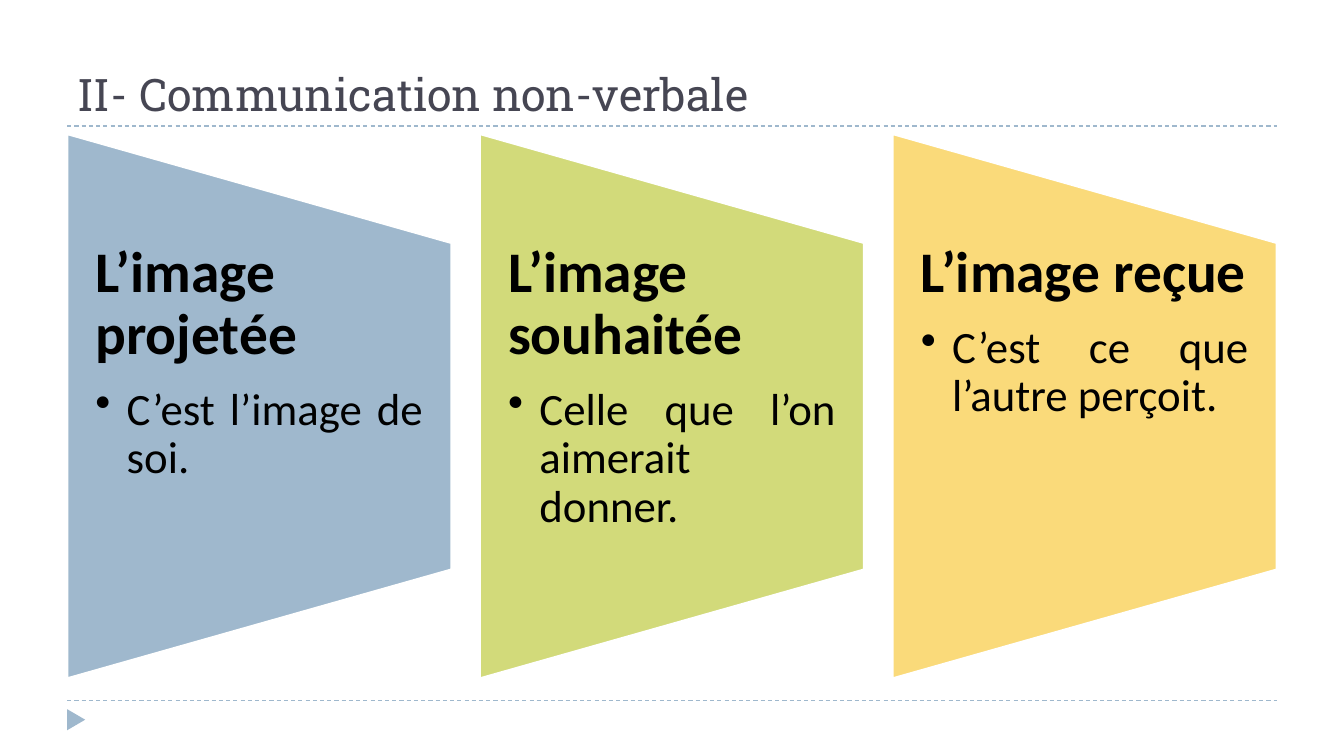
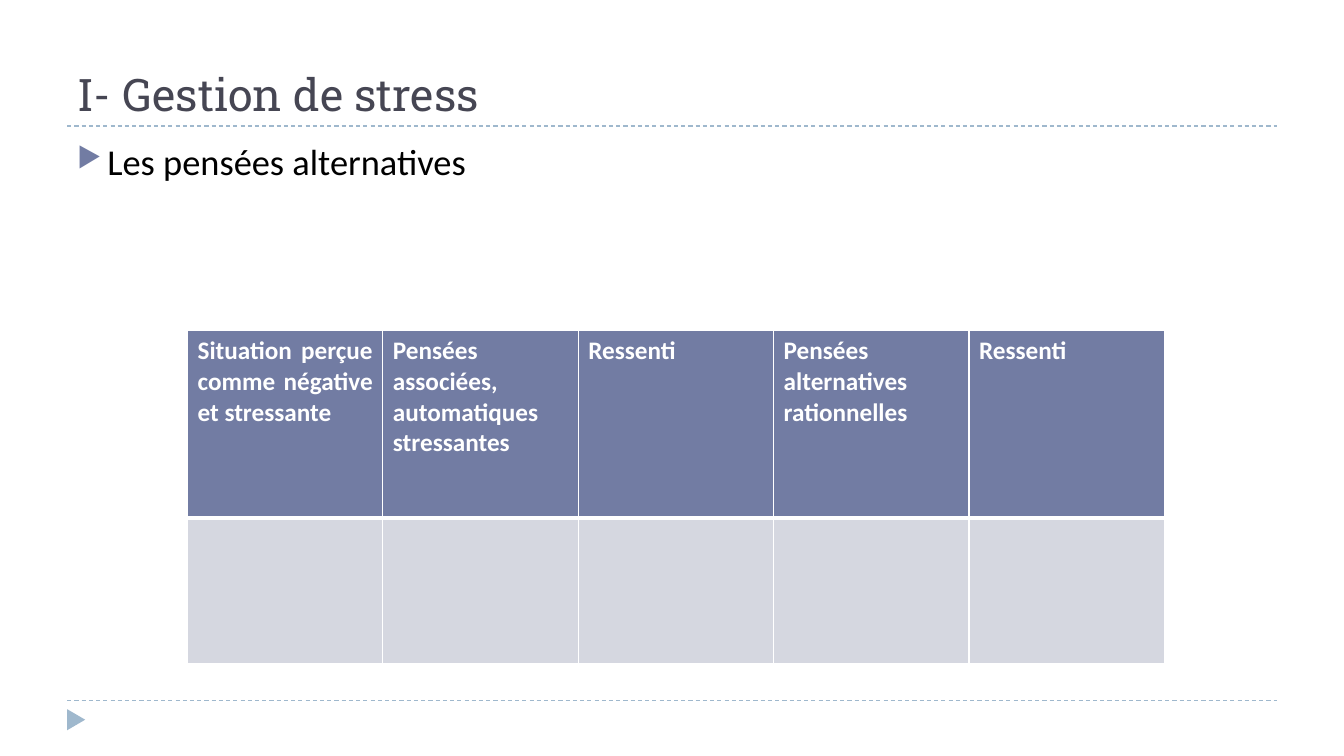
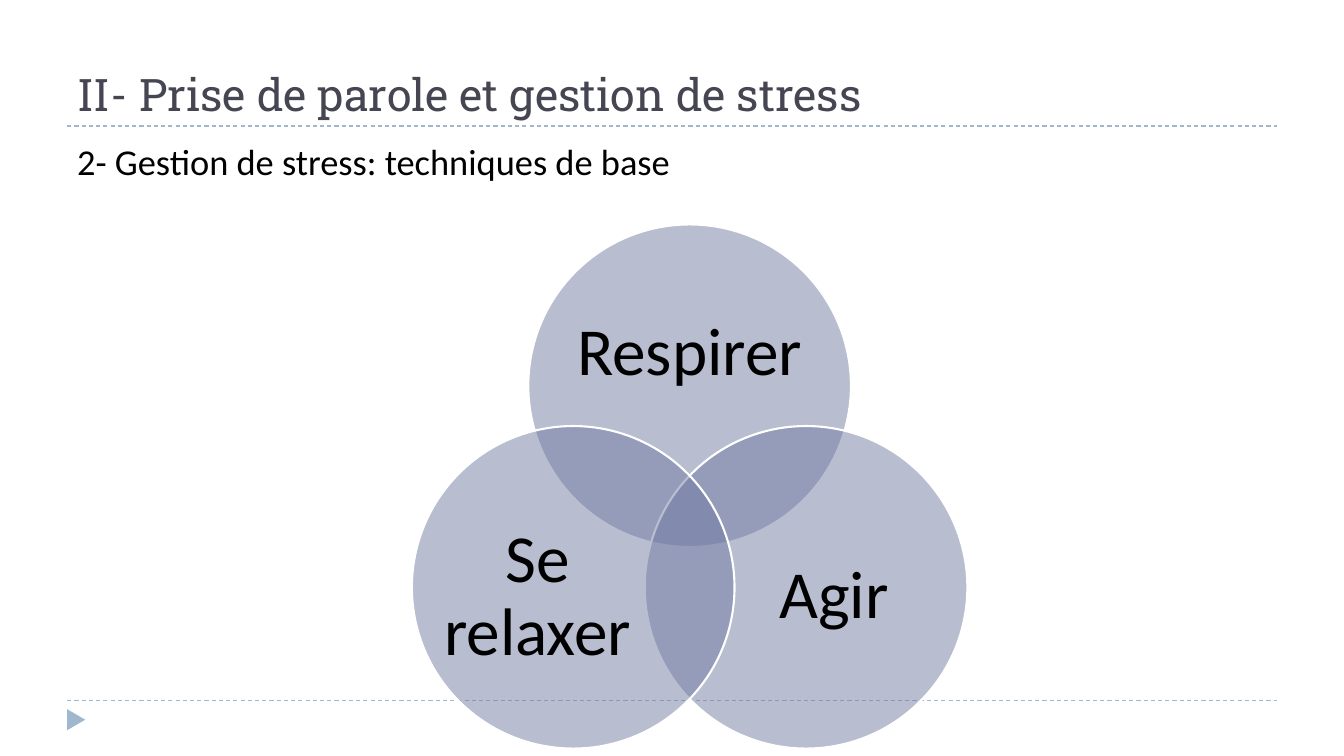
from dataclasses import dataclass
from math import cos, radians, sin

from lxml.etree import SubElement
from pptx import Presentation
from pptx.dml.color import RGBColor
from pptx.enum.dml import MSO_LINE
from pptx.enum.shapes import MSO_CONNECTOR, MSO_SHAPE
from pptx.enum.text import MSO_ANCHOR as Anchor
from pptx.enum.text import MSO_AUTO_SIZE as AutoSize
from pptx.enum.text import PP_ALIGN as Align
from pptx.oxml.ns import qn
from pptx.util import Inches, Pt

# Shared look: lengths are in inches, margins are shares of the slide
WIDTH, HEIGHT = 13.33, 7.5
MARGIN = WIDTH * 0.05
CONTENT_WIDTH = WIDTH * 0.9
BODY_TOP, BODY_HEIGHT = 1.33, HEIGHT * 0.72
TITLE_RULE, FOOTER_RULE = 1.25, 6.95

WHITE, BLACK, SLATE = "FFFFFF", "000000", "464653"
SKY, LIME, SAND = "9FB8CD", "D2DA7A", "FADA7A"
INDIGO, MIST = "727CA3", "D5D7E0"
TEXT_FONT, TITLE_FONT = "Calibri", "Roboto Slab"


@dataclass
class Area:
    left: float
    top: float
    width: float
    height: float

    def lengths(self) -> list:
        return [Inches(v) for v in (self.left, self.top, self.width, self.height)]


@dataclass
class Bullet:
    char: str
    indent: float
    hex_color: str = BLACK
    percent: int = 100


@dataclass
class Panel:
    heading: str
    detail: str
    hex_color: str


@dataclass
class Circle:
    """Label offset and size are shares of the circle's diameter."""
    label: str
    angle: int
    offset: tuple[float, float]
    size: tuple[float, float]


def color(hex_color: str) -> RGBColor:
    return RGBColor.from_string(hex_color)


def centred(x: float, y: float, width: float, height: float) -> Area:
    return Area(x - width / 2, y - height / 2, width, height)


# Text
def add_bullet(para, bullet: Bullet) -> None:
    props = para._p.get_or_add_pPr()
    props.set("marL", str(Inches(bullet.indent)))
    props.set("indent", str(-Inches(bullet.indent)))
    tint = SubElement(props, qn("a:buClr"))
    SubElement(tint, qn("a:srgbClr"), val=bullet.hex_color)
    SubElement(props, qn("a:buSzPct"), val=str(bullet.percent * 1000))
    SubElement(props, qn("a:buChar"), char=bullet.char)


def write(para, text: str, size: float, hex_color: str = BLACK, name: str = TEXT_FONT,
          bold: bool = False, bullet: Bullet | None = None, **layout) -> None:
    if bullet:
        add_bullet(para, bullet)
    for key, value in layout.items():
        setattr(para, key, value)
    span = para.add_run()
    span.text = text
    for key, value in {"name": name, "size": Pt(size), "bold": bold}.items():
        setattr(span.font, key, value)
    span.font.color.rgb = color(hex_color)


def add_box(page, area: Area, **frame_format):
    frame = page.shapes.add_textbox(*area.lengths()).text_frame
    for key, value in {"word_wrap": True, **frame_format}.items():
        setattr(frame, key, value)
    return frame


# Shapes
def add_solid(page, kind, area: Area, hex_color: str, rotation: int = 0,
              outlined: bool = True, opacity: int = 100) -> None:
    shape = page.shapes.add_shape(kind, *area.lengths())
    shape.shadow.inherit = False
    shape.rotation = rotation
    shape.fill.solid()
    shape.fill.fore_color.rgb = color(hex_color)
    if opacity < 100:
        tint = shape._element.spPr.find(qn("a:solidFill"))[0]
        SubElement(tint, qn("a:alpha"), val=str(opacity * 1000))
    if outlined:
        shape.line.color.rgb = color(WHITE)
        shape.line.width = Pt(1.5)
    else:
        shape.line.fill.background()


def add_rule(page, y: float) -> None:
    rule = page.shapes.add_connector(
        MSO_CONNECTOR.STRAIGHT, Inches(MARGIN), Inches(y),
        Inches(MARGIN + CONTENT_WIDTH), Inches(y))
    rule.line.color.rgb = color(SKY)
    rule.line.width = Pt(0.75)
    rule.line.dash_style = MSO_LINE.DASH
    SubElement(rule._element.spPr, qn("a:effectLst"))


def add_page(deck, title: str):
    """Title-only slide with the dashed rules and the footer marker."""
    page = deck.slides.add_slide(deck.slide_layouts[5])
    for y in (FOOTER_RULE, TITLE_RULE):
        add_rule(page, y)
    add_solid(page, MSO_SHAPE.ISOSCELES_TRIANGLE, Area(0.65, 7.05, 0.21, 0.18),
              SKY, rotation=90, outlined=False)
    box = page.shapes.title
    area = Area(MARGIN, 0.17, CONTENT_WIDTH, TITLE_RULE - 0.17)
    for key, value in zip(("left", "top", "width", "height"), area.lengths()):
        setattr(box, key, value)
    frame = box.text_frame
    frame.auto_size = AutoSize.NONE
    frame.vertical_anchor = Anchor.BOTTOM
    write(frame.paragraphs[0], title, 32, SLATE, TITLE_FONT, alignment=Align.LEFT)
    return page


def add_body(page, text: str, bullet: Bullet | None = None) -> None:
    frame = add_box(page, Area(MARGIN, BODY_TOP, CONTENT_WIDTH, BODY_HEIGHT))
    write(frame.paragraphs[0], text, 26, bullet=bullet)


# Slide 1: three trapezoid panels
def add_panels(page, panels: list[Panel]) -> None:
    width = 3.81
    pitch = (CONTENT_WIDTH - width) / (len(panels) - 1)
    middle = BODY_TOP + BODY_HEIGHT / 2
    for column, panel in enumerate(panels):
        left = MARGIN + column * pitch
        add_solid(page, MSO_SHAPE.FLOWCHART_MANUAL_OPERATION,
                  centred(left + width / 2, middle, BODY_HEIGHT, width),
                  panel.hex_color, rotation=270)
        frame = add_box(page, centred(left + width / 2, middle, width, BODY_HEIGHT * 0.6),
                        margin_left=Inches(0.28), margin_right=Inches(0.28),
                        margin_top=0, margin_bottom=0)
        write(frame.paragraphs[0], panel.heading, 41, bold=True,
              line_spacing=0.9, space_after=Pt(14))
        write(frame.add_paragraph(), panel.detail, 32, bullet=Bullet("•", 0.31),
              alignment=Align.JUSTIFY, line_spacing=0.9)


# Slide 2: table
def add_borders(cell, bottom: float) -> None:
    props = cell._tc.get_or_add_tcPr()
    sides = {"L": 1, "R": 1, "T": 1, "B": bottom}
    for place, (side, points) in enumerate(sides.items()):
        line = SubElement(props, qn(f"a:ln{side}"), w=str(Pt(points)))
        fill = SubElement(line, qn("a:solidFill"))
        SubElement(fill, qn("a:srgbClr"), val=WHITE)
        props.insert(place, line)


def add_thought_table(page, headings: list[str]) -> None:
    row_heights = (1.86, 1.44)
    area = Area(1.86, 3.28, 9.69, sum(row_heights))
    table = page.shapes.add_table(len(row_heights), len(headings), *area.lengths()).table
    for row, height in zip(table.rows, row_heights):
        row.height = Inches(height)
    for column, heading in enumerate(headings):
        write(table.cell(0, column).text_frame.paragraphs[0], heading, 18, WHITE, bold=True,
              alignment=Align.LEFT if column else Align.JUSTIFY)
        for row, (hex_color, bottom) in enumerate(((INDIGO, 3), (MIST, 1))):
            cell = table.cell(row, column)
            cell.fill.solid()
            cell.fill.fore_color.rgb = color(hex_color)
            add_borders(cell, bottom)


# Slide 3: overlapping circles around a common centre
def add_venn(page, circles: list[Circle]) -> None:
    centre_x, centre_y, diameter = 6.84, 5.16, 3.2
    orbit = diameter * 5 / 12
    for circle in circles:
        x = centre_x + orbit * cos(radians(circle.angle))
        y = centre_y + orbit * sin(radians(circle.angle))
        add_solid(page, MSO_SHAPE.OVAL, centred(x, y, diameter, diameter),
                  INDIGO, opacity=50)
        shift_x, shift_y = (share * diameter for share in circle.offset)
        width, height = (share * diameter for share in circle.size)
        frame = add_box(page, centred(x + shift_x, y + shift_y, width, height),
                        vertical_anchor=Anchor.MIDDLE, margin_left=0, margin_right=0,
                        margin_top=0, margin_bottom=0)
        write(frame.paragraphs[0], circle.label, 48,
              alignment=Align.CENTER, line_spacing=0.9)


def main() -> None:
    deck = Presentation()
    deck.slide_width, deck.slide_height = Inches(WIDTH), Inches(HEIGHT)

    page = add_page(deck, "II- Communication non-verbale")
    add_panels(page, [
        Panel("L’image projetée", "C’est l’image de soi.", SKY),
        Panel("L’image souhaitée", "Celle que l’on aimerait donner.", LIME),
        Panel("L’image reçue", "C’est ce que l’autre perçoit.", SAND),
    ])

    page = add_page(deck, "I- Gestion de stress")
    add_body(page, "Les pensées alternatives", Bullet("▶", 0.3, INDIGO, 76))
    add_thought_table(page, [
        "Situation perçue comme négative et stressante",
        "Pensées associées, automatiques stressantes",
        "Ressenti",
        "Pensées alternatives rationnelles",
        "Ressenti",
    ])

    page = add_page(deck, "II- Prise de parole et gestion de stress")
    add_body(page, "2- Gestion de stress: techniques de base")
    add_venn(page, [
        Circle("Respirer ", -90, (0, -0.1), (0.73, 0.45)),
        Circle("Agir ", 30, (0.11, 0.03), (0.6, 0.55)),
        Circle("Se relaxer ", 150, (-0.11, 0.03), (0.6, 0.55)),
    ])

    deck.save("out.pptx")


if __name__ == "__main__":
    main()
